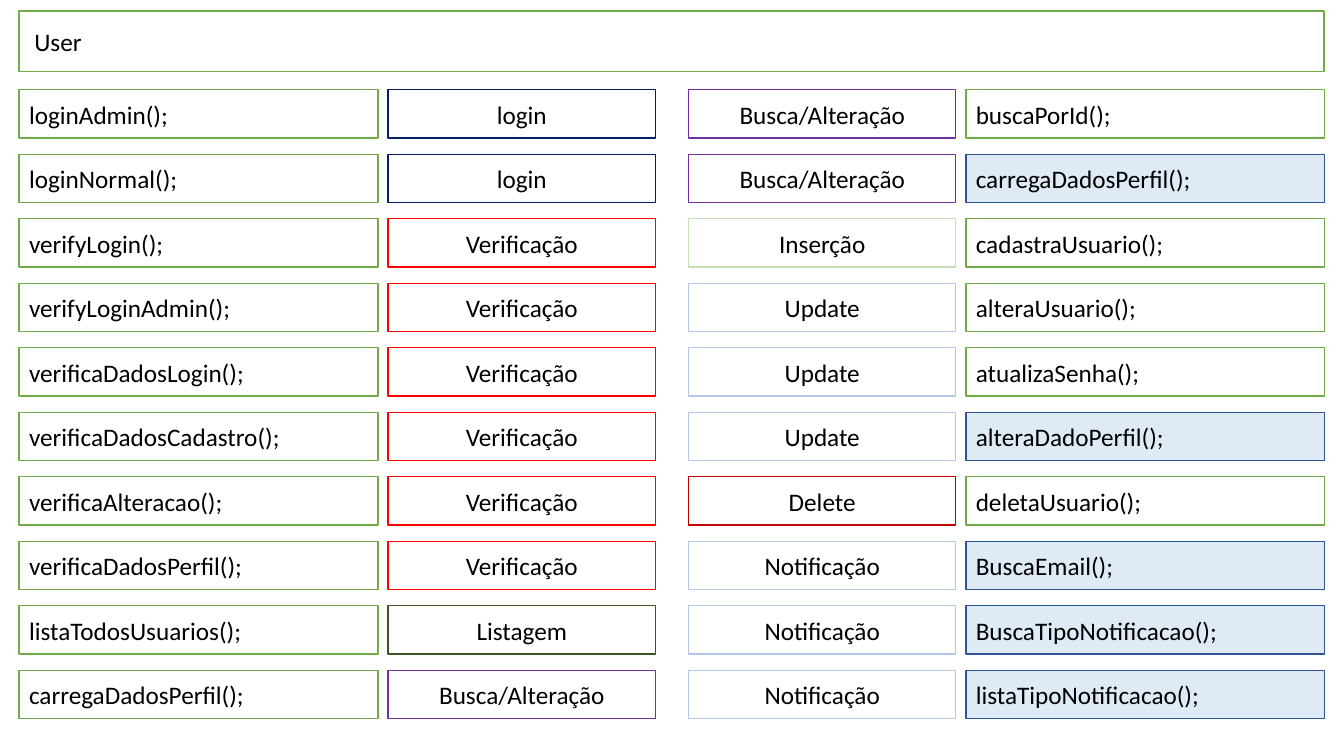
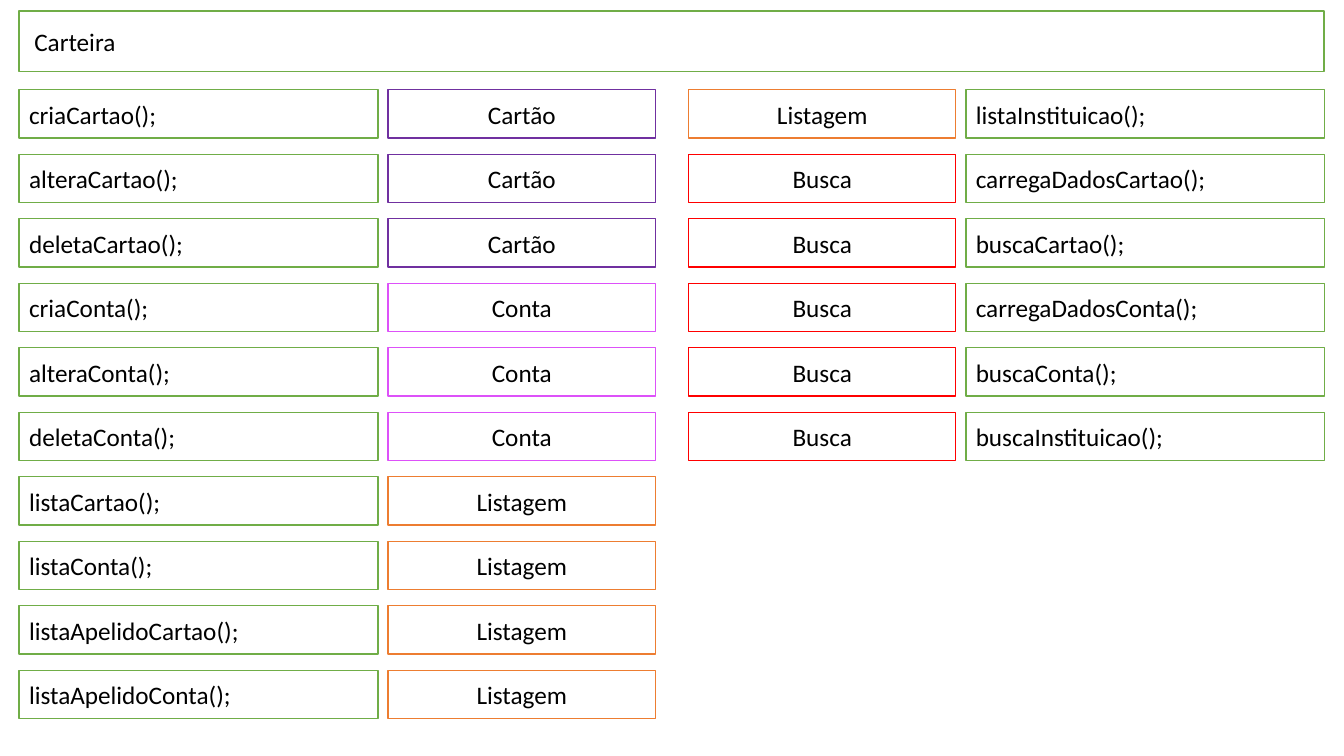
"""Builds two boards that sort methods by purpose."""
from dataclasses import dataclass

from pptx import Presentation
from pptx.dml.color import RGBColor
from pptx.enum.shapes import MSO_SHAPE
from pptx.enum.text import MSO_ANCHOR, MSO_AUTO_SIZE, PP_ALIGN
from pptx.presentation import Presentation as Deck
from pptx.shapes.autoshape import Shape
from pptx.slide import Slide
from pptx.util import Inches, Pt

RECT = MSO_SHAPE.RECTANGLE
MIDDLE = MSO_ANCHOR.MIDDLE
FIXED = MSO_AUTO_SIZE.NONE
LEFT, CENTER = PP_ALIGN.LEFT, PP_ALIGN.CENTER


@dataclass(frozen=True)
class Theme:
    """Colours, type and line sizes of both slides."""
    font: str = "Calibri"
    size: int = 18
    line: int = 1
    ink: str = "000000"
    paper: str = "FFFFFF"
    green: str = "70AD47"
    pale: str = "DEEBF7"
    blue: str = "2F5597"
    navy: str = "002060"
    red: str = "FF0000"
    dark_red: str = "C00000"
    purple: str = "7030A0"
    pink: str = "DD51F9"
    orange: str = "ED7D31"
    forest: str = "385723"
    mint: str = "C5E0B4"
    sky: str = "B4C7E7"


@dataclass(frozen=True)
class Box:
    """A place on the slide, in inches."""
    left: float
    top: float
    width: float
    height: float


@dataclass(frozen=True)
class Grid:
    """The columns and rows that hold the cells."""
    top: float = 0.89
    pitch: float = 0.64
    height: float = 0.48
    name_width: float = 3.56
    tag_width: float = 2.65
    names: tuple[float, float] = (0.19, 9.58)
    tags: tuple[float, float] = (3.85, 6.83)

    def name_box(self, side: int, row: int) -> Box:
        """Return the place of a method name."""
        return Box(self.names[side], self.top + row * self.pitch, self.name_width, self.height)

    def tag_box(self, side: int, row: int) -> Box:
        """Return the place of a purpose tag."""
        return Box(self.tags[side], self.top + row * self.pitch, self.tag_width, self.height)


@dataclass(frozen=True)
class Look:
    """The outline, fill and text layout of a cell."""
    line: str
    fill: str
    align: PP_ALIGN = LEFT
    inset: float = 0.1


@dataclass(frozen=True)
class Tag:
    """A purpose and its colour."""
    text: str
    hue: str


@dataclass(frozen=True)
class Call:
    """A method with its purpose."""
    name: str
    tag: Tag
    marked: bool = False


@dataclass(frozen=True)
class Board:
    """The content of one slide, left and right."""
    title: str
    sides: tuple[list[Call], list[Call]]


THEME = Theme()
GRID = Grid()
BAND = Box(0.19, 0.11, 12.94, 0.6)
HEAD = Look(THEME.green, THEME.paper, inset=0.15)
PLAIN = Look(THEME.green, THEME.paper)
MARKED = Look(THEME.blue, THEME.pale)

LOGIN = Tag("login", THEME.navy)
CHECK = Tag("Verificação", THEME.red)
LIST = Tag("Listagem", THEME.forest)
FIND = Tag("Busca/Alteração", THEME.purple)
INSERT = Tag("Inserção", THEME.mint)
UPDATE = Tag("Update", THEME.sky)
DELETE = Tag("Delete", THEME.dark_red)
NOTICE = Tag("Notificação", THEME.sky)
CARD = Tag("Cartão", THEME.purple)
ACCOUNT = Tag("Conta", THEME.pink)
SHOW = Tag("Listagem", THEME.orange)
SEARCH = Tag("Busca", THEME.red)

USER = Board("User", ([
    Call("loginAdmin", LOGIN),
    Call("loginNormal", LOGIN),
    Call("verifyLogin", CHECK),
    Call("verifyLoginAdmin", CHECK),
    Call("verificaDadosLogin", CHECK),
    Call("verificaDadosCadastro", CHECK),
    Call("verificaAlteracao", CHECK),
    Call("verificaDadosPerfil", CHECK),
    Call("listaTodosUsuarios", LIST),
    Call("carregaDadosPerfil", FIND),
], [
    Call("buscaPorId", FIND),
    Call("carregaDadosPerfil", FIND, True),
    Call("cadastraUsuario", INSERT),
    Call("alteraUsuario", UPDATE),
    Call("atualizaSenha", UPDATE),
    Call("alteraDadoPerfil", UPDATE, True),
    Call("deletaUsuario", DELETE),
    Call("BuscaEmail", NOTICE, True),
    Call("BuscaTipoNotificacao", NOTICE, True),
    Call("listaTipoNotificacao", NOTICE, True),
]))

WALLET = Board("Carteira", ([
    Call("criaCartao", CARD),
    Call("alteraCartao", CARD),
    Call("deletaCartao", CARD),
    Call("criaConta", ACCOUNT),
    Call("alteraConta", ACCOUNT),
    Call("deletaConta", ACCOUNT),
    Call("listaCartao", SHOW),
    Call("listaConta", SHOW),
    Call("listaApelidoCartao", SHOW),
    Call("listaApelidoConta", SHOW),
], [
    Call("listaInstituicao", SHOW),
    Call("carregaDadosCartao", SEARCH),
    Call("buscaCartao", SEARCH),
    Call("carregaDadosConta", SEARCH),
    Call("buscaConta", SEARCH),
    Call("buscaInstituicao", SEARCH),
]))


def paint(shape: Shape, text: str, look: Look) -> None:
    """Fill, outline and label a shape."""
    shape.fill.solid()
    shape.fill.fore_color.rgb = RGBColor.from_string(look.fill)
    shape.line.color.rgb = RGBColor.from_string(look.line)
    shape.line.width = Pt(THEME.line)
    frame = shape.text_frame
    frame.text = text
    frame.word_wrap = True
    frame.auto_size = FIXED
    frame.vertical_anchor = MIDDLE
    frame.margin_left = Inches(look.inset)
    part = frame.paragraphs[0]
    part.alignment = look.align
    font = part.runs[0].font
    font.name = THEME.font
    font.size = Pt(THEME.size)
    font.color.rgb = RGBColor.from_string(THEME.ink)


def add_cell(slide: Slide, box: Box, text: str, look: Look) -> None:
    """Draw one labelled cell."""
    shape = slide.shapes.add_shape(
        RECT, Inches(box.left), Inches(box.top), Inches(box.width), Inches(box.height))
    shape.shadow.inherit = False
    paint(shape, text, look)


def add_title(slide: Slide, text: str) -> None:
    """Turn the title placeholder into the top band."""
    title = slide.shapes.title
    title.left, title.top = Inches(BAND.left), Inches(BAND.top)
    title.width, title.height = Inches(BAND.width), Inches(BAND.height)
    paint(title, text, HEAD)


def add_board(deck: Deck, board: Board) -> None:
    """Add a slide with its title and cells."""
    slide = deck.slides.add_slide(deck.slide_layouts.get_by_name("Title Only"))
    add_title(slide, board.title)
    for side, calls in enumerate(board.sides):
        for row, call in enumerate(calls):
            look = MARKED if call.marked else PLAIN
            add_cell(slide, GRID.name_box(side, row), f"{call.name}();", look)
            add_cell(slide, GRID.tag_box(side, row), call.tag.text,
                     Look(call.tag.hue, THEME.paper, CENTER))


def main() -> None:
    """Build and save the deck."""
    deck = Presentation()
    deck.slide_width, deck.slide_height = Inches(13.33), Inches(7.5)
    for board in (USER, WALLET):
        add_board(deck, board)
    deck.save("out.pptx")


main()
